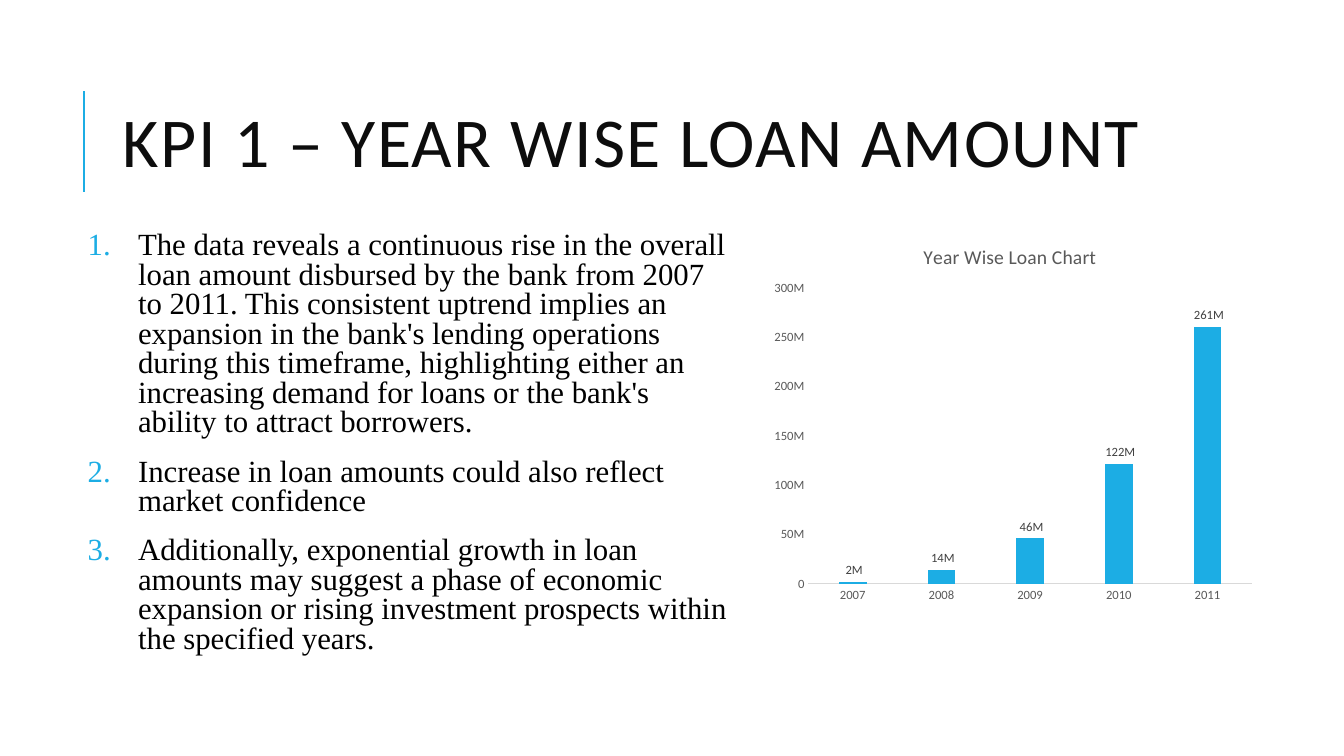
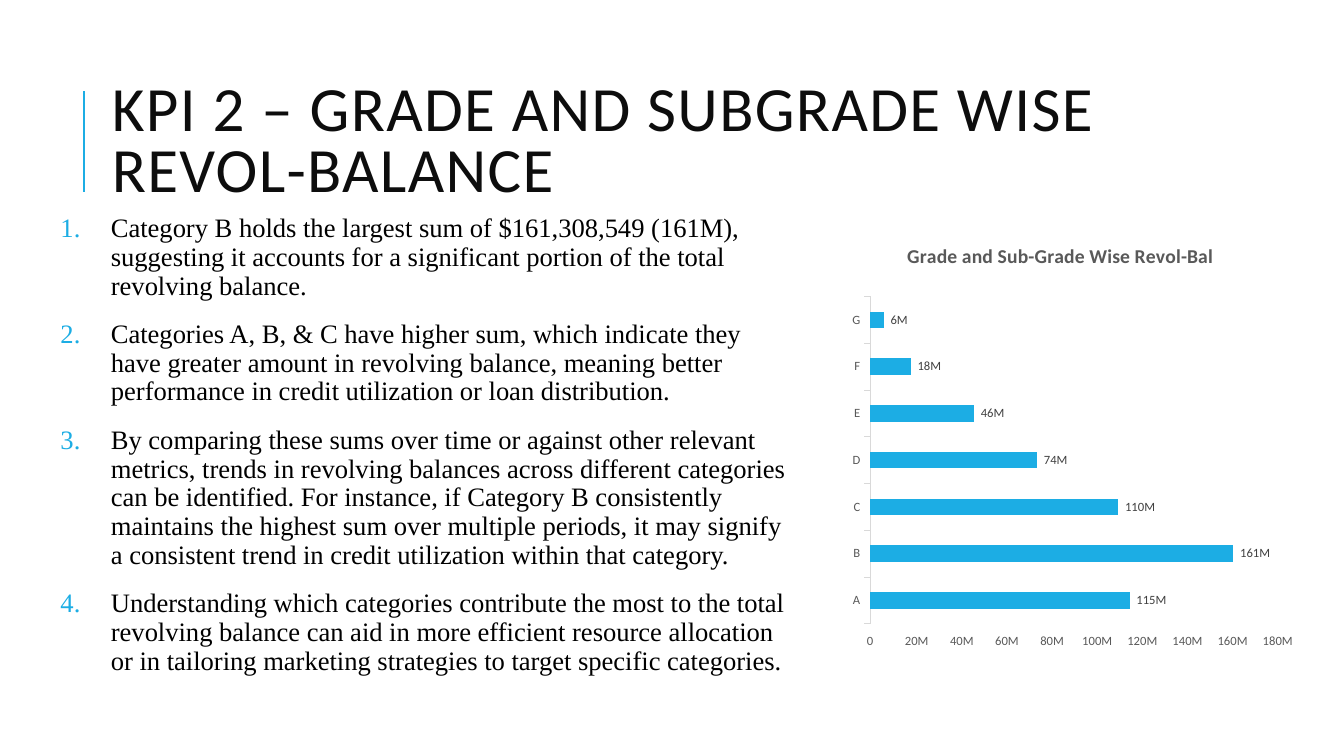
import dataclasses

import lxml.etree
import pptx
import pptx.chart.data
import pptx.dml.color
import pptx.enum.chart
import pptx.enum.shapes
import pptx.enum.text
import pptx.oxml
import pptx.oxml.ns
import pptx.util

COLUMNS, ROWS = 160, 90
MILLION = 1_000_000
LABEL_FORMAT = r'[>999999]\ #,,"M";#0'
WIDE_LABEL_FORMAT = r'[>999999]\ \ #,,"M";#0'


@dataclasses.dataclass(frozen=True)
class Theme:
    accent: str = "1CADE4"
    title_color: str = "0D0D0D"
    body_color: str = "000000"
    axis_color: str = "595959"
    label_color: str = "404040"
    rule_color: str = "D9D9D9"
    heading_font: str = "Calibri"
    body_font: str = "Times New Roman"
    chart_title_size: int = 14
    chart_size: int = 9
    rule_width: float = 0.75
    accent_width: float = 1.5


def color(value):
    return pptx.dml.color.RGBColor.from_string(value)


def format_font(font, name, size, rgb, bold=False):
    font.name = name
    font.size = pptx.util.Pt(size)
    font.color.rgb = color(rgb)
    font.bold = bold


def write_text(paragraph, text, *, spacing=None, line_spacing=None, before=0, after=0, **font):
    """Add one formatted run; spacing is the letter spacing in points."""
    run = paragraph.add_run()
    run.text = text
    format_font(run.font, **font)
    if spacing:
        run._r.get_or_add_rPr().set("spc", str(round(spacing * 100)))
    if line_spacing:
        paragraph.line_spacing = line_spacing
    paragraph.space_before = pptx.util.Pt(before)
    paragraph.space_after = pptx.util.Pt(after)
    paragraph.alignment = pptx.enum.text.PP_ALIGN.LEFT if line_spacing else None


def number_paragraph(paragraph, rgb, font_name, indent):
    properties = paragraph._p.get_or_add_pPr()
    properties.set("marL", str(indent))
    properties.set("indent", str(-indent))
    namespace = pptx.oxml.ns.nsdecls("a")
    for markup in (
        f'<a:buClr {namespace}><a:srgbClr val="{rgb}"/></a:buClr>',
        f'<a:buFont {namespace} typeface="{font_name}"/>',
        f'<a:buAutoNum {namespace} type="arabicPeriod"/>',
    ):
        properties.append(pptx.oxml.parse_xml(markup))


def place_plot(chart, plot_share):
    """Fix the inner plot area as left, top, width and height shares of the chart."""
    plot_area = chart._chartSpace.chart.plotArea
    for layout in plot_area.findall(pptx.oxml.ns.qn("c:layout")):
        plot_area.remove(layout)
    layout = lxml.etree.Element(pptx.oxml.ns.qn("c:layout"))
    manual = lxml.etree.SubElement(layout, pptx.oxml.ns.qn("c:manualLayout"))
    settings = [("layoutTarget", "inner"), ("xMode", "edge"), ("yMode", "edge")]
    settings += zip("xywh", plot_share)
    for tag, value in settings:
        lxml.etree.SubElement(manual, pptx.oxml.ns.qn(f"c:{tag}")).set("val", str(value))
    plot_area.insert(0, layout)


class Deck:
    """Hold the theme and current slide; boxes are left, top, width, height in grid cells."""

    def __init__(self, theme):
        self.theme = theme
        self.presentation = pptx.Presentation()
        self.presentation.slide_width = pptx.util.Inches(13.333)
        self.presentation.slide_height = pptx.util.Inches(7.5)
        self.slide = None

    def x(self, columns):
        return round(self.presentation.slide_width * columns / COLUMNS)

    def y(self, rows):
        return round(self.presentation.slide_height * rows / ROWS)

    def box(self, left, top, width, height):
        return self.x(left), self.y(top), self.x(width), self.y(height)

    def add_slide(self):
        self.slide = self.presentation.slides.add_slide(self.presentation.slide_layouts[1])
        self.add_accent_line()

    def add_accent_line(self):
        line = self.slide.shapes.add_connector(
            pptx.enum.shapes.MSO_CONNECTOR.STRAIGHT,
            self.x(10), self.y(22.8), self.x(10), self.y(10.8))
        line.line.color.rgb = color(self.theme.accent)
        line.line.width = pptx.util.Pt(self.theme.accent_width)
        lxml.etree.SubElement(line._element.spPr, pptx.oxml.ns.qn("a:effectLst"))

    def prepare_placeholder(self, shape, box, anchor):
        shape.left, shape.top, shape.width, shape.height = self.box(*box)
        frame = shape.text_frame
        frame.word_wrap = True
        frame.auto_size = pptx.enum.text.MSO_AUTO_SIZE.NONE
        frame.vertical_anchor = anchor
        return frame

    def add_title(self, text, box, size):
        frame = self.prepare_placeholder(
            self.slide.shapes.title, box, pptx.enum.text.MSO_ANCHOR.MIDDLE)
        write_text(frame.paragraphs[0], text, name=self.theme.heading_font, size=size,
                   rgb=self.theme.title_color, spacing=1, line_spacing=0.8)

    def add_numbered_list(self, items, box, size, line_spacing):
        frame = self.prepare_placeholder(
            self.slide.placeholders[1], box, pptx.enum.text.MSO_ANCHOR.TOP)
        inset = pptx.util.Inches(0.05)
        frame.margin_left = frame.margin_right = inset
        frame.margin_top = frame.margin_bottom = inset
        for index, item in enumerate(items):
            paragraph = frame.add_paragraph() if index else frame.paragraphs[0]
            write_text(paragraph, item, name=self.theme.body_font, size=size,
                       rgb=self.theme.body_color, line_spacing=line_spacing,
                       before=12, after=2)
            number_paragraph(paragraph, self.theme.accent, self.theme.body_font,
                             pptx.util.Inches(0.5))

    def add_bar_chart(self, kind, title, millions, box, *, gap, overlap, plot_share,
                      maximum, step, tick, axis_format, bold_title=False):
        """Draw a one-series chart; millions maps category to value, as are maximum and step."""
        data = pptx.chart.data.CategoryChartData()
        data.categories = list(millions)
        data.add_series("Series 1", [value * MILLION for value in millions.values()])
        chart = self.slide.shapes.add_chart(kind, *self.box(*box), data).chart
        theme = self.theme
        format_font(chart.font, theme.heading_font, 10, theme.body_color)
        chart.has_legend = False
        chart.has_title = True
        write_text(chart.chart_title.text_frame.paragraphs[0], title,
                   name=theme.heading_font, size=theme.chart_title_size,
                   rgb=theme.axis_color, bold=bold_title)
        place_plot(chart, plot_share)
        self.format_axes(chart, maximum, step, tick, axis_format)
        plot = chart.plots[0]
        plot.gap_width, plot.overlap, plot.vary_by_categories = gap, overlap, False
        fill = plot.series[0].format.fill
        fill.solid()
        fill.fore_color.rgb = color(theme.accent)
        plot.has_data_labels = True
        labels = plot.data_labels
        labels.show_value = True
        labels.position = pptx.enum.chart.XL_LABEL_POSITION.OUTSIDE_END
        labels.number_format, labels.number_format_is_linked = LABEL_FORMAT, False
        format_font(labels.font, theme.heading_font, theme.chart_size, theme.label_color)

    def format_axes(self, chart, maximum, step, tick, axis_format):
        theme = self.theme
        category, value = chart.category_axis, chart.value_axis
        for axis in (category, value):
            axis.has_major_gridlines = False
            axis.major_tick_mark = tick
            axis.minor_tick_mark = pptx.enum.chart.XL_TICK_MARK.NONE
            format_font(axis.tick_labels.font, theme.heading_font, theme.chart_size,
                        theme.axis_color)
        category.format.line.color.rgb = color(theme.rule_color)
        category.format.line.width = pptx.util.Pt(theme.rule_width)
        value.format.line.fill.background()
        value.minimum_scale = 0
        value.maximum_scale = maximum * MILLION
        value.major_unit = step * MILLION
        value.tick_labels.number_format = axis_format
        value.tick_labels.number_format_is_linked = False


def add_loan_slide(deck):
    deck.add_slide()
    deck.add_title("KPI 1 – YEAR WISE LOAN AMOUNT", (13.44, 7.68, 127.56, 19.68), 50)
    deck.add_numbered_list([
        "The data reveals a continuous rise in the overall loan amount disbursed by the bank "
        "from 2007 to 2011. This consistent uptrend implies an expansion in the bank's lending "
        "operations during this timeframe, highlighting either an increasing demand for loans "
        "or the bank's ability to attract borrowers.",
        "Increase in loan amounts could also reflect market confidence",
        "Additionally, exponential growth in loan amounts may suggest a phase of economic "
        "expansion or rising investment prospects within the specified years.",
    ], (9.84, 27, 78.24, 54.96), 22, 0.8)
    deck.add_bar_chart(
        pptx.enum.chart.XL_CHART_TYPE.COLUMN_CLUSTERED, "Year Wise Loan Chart",
        {"2007": 2, "2008": 14, "2009": 46, "2010": 122, "2011": 261},
        (90.24, 27, 60, 45.72), gap=219, overlap=-27,
        plot_share=(0.1, 0.16, 0.88, 0.77), maximum=300, step=50,
        tick=pptx.enum.chart.XL_TICK_MARK.NONE, axis_format=WIDE_LABEL_FORMAT)


def add_grade_slide(deck):
    deck.add_slide()
    deck.add_title("KPI 2 – GRADE AND SUBGRADE WISE REVOL-BALANCE",
                   (12.12, 10.8, 135.84, 12.6), 45)
    deck.add_numbered_list([
        "Category B holds the largest sum of $161,308,549 (161M), suggesting it accounts for a "
        "significant portion of the total revolving balance.",
        "Categories A, B, & C have higher sum, which indicate they have greater amount in "
        "revolving balance, meaning better performance in credit utilization or loan "
        "distribution.",
        "By comparing these sums over time or against other relevant metrics, trends in "
        "revolving balances across different categories can be identified. For instance, if "
        "Category B consistently maintains the highest sum over multiple periods, it may "
        "signify a consistent trend in credit utilization within that category.",
        "Understanding which categories contribute the most to the total revolving balance can "
        "aid in more efficient resource allocation or in tailoring marketing strategies to "
        "target specific categories.",
    ], (6.6, 24.96, 87.84, 62.04), 19, 0.9)
    deck.add_bar_chart(
        pptx.enum.chart.XL_CHART_TYPE.BAR_CLUSTERED, "Grade and Sub-Grade Wise Revol-Bal",
        {"A": 115, "B": 161, "C": 110, "D": 74, "E": 46, "F": 18, "G": 6},
        (95.64, 26.76, 61.2, 53.4), gap=182, overlap=0,
        plot_share=(0.13, 0.16, 0.79, 0.73), maximum=180, step=20,
        tick=pptx.enum.chart.XL_TICK_MARK.OUTSIDE, axis_format=LABEL_FORMAT,
        bold_title=True)


def main():
    deck = Deck(Theme())
    add_loan_slide(deck)
    add_grade_slide(deck)
    deck.presentation.save("out.pptx")


if __name__ == "__main__":
    main()
